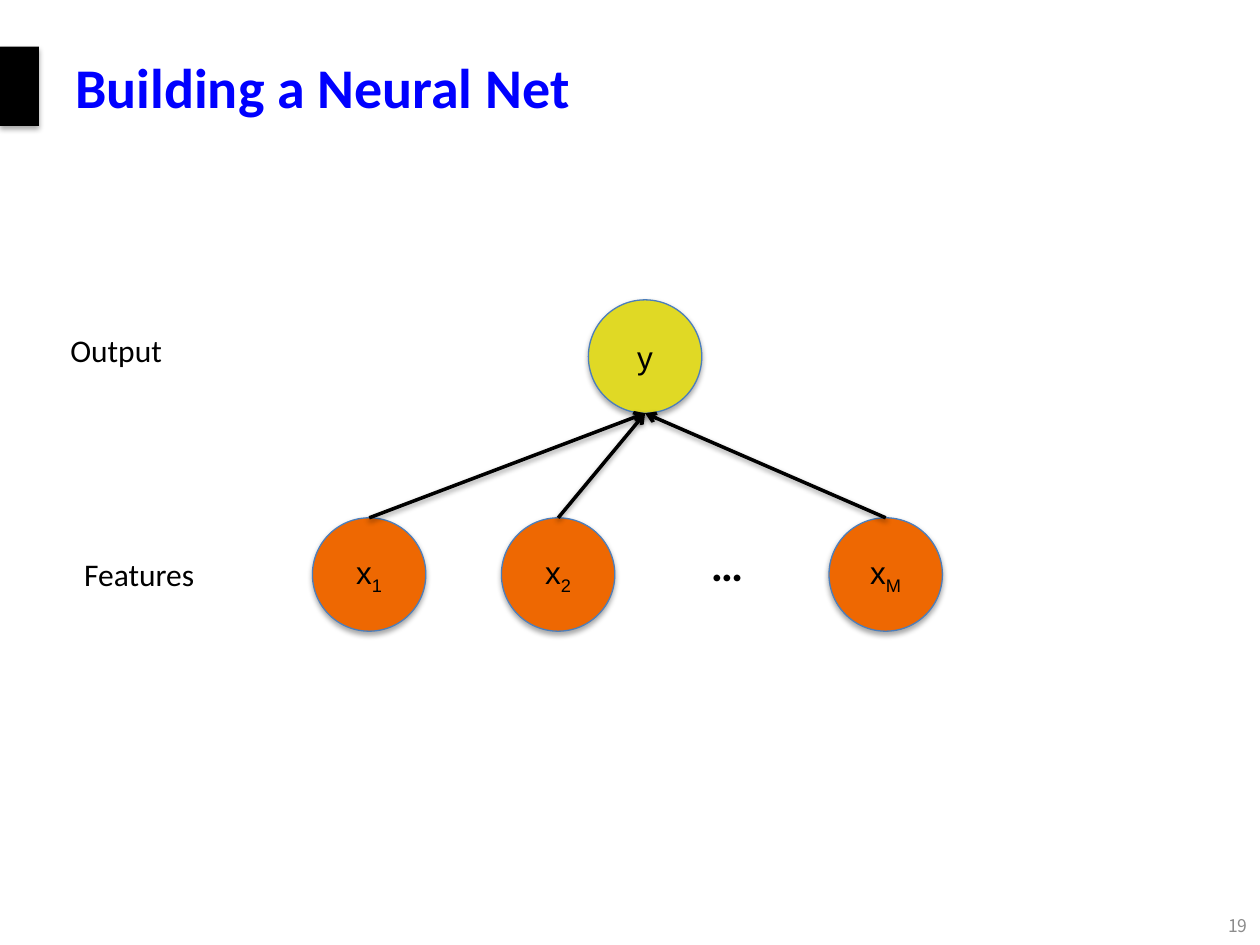
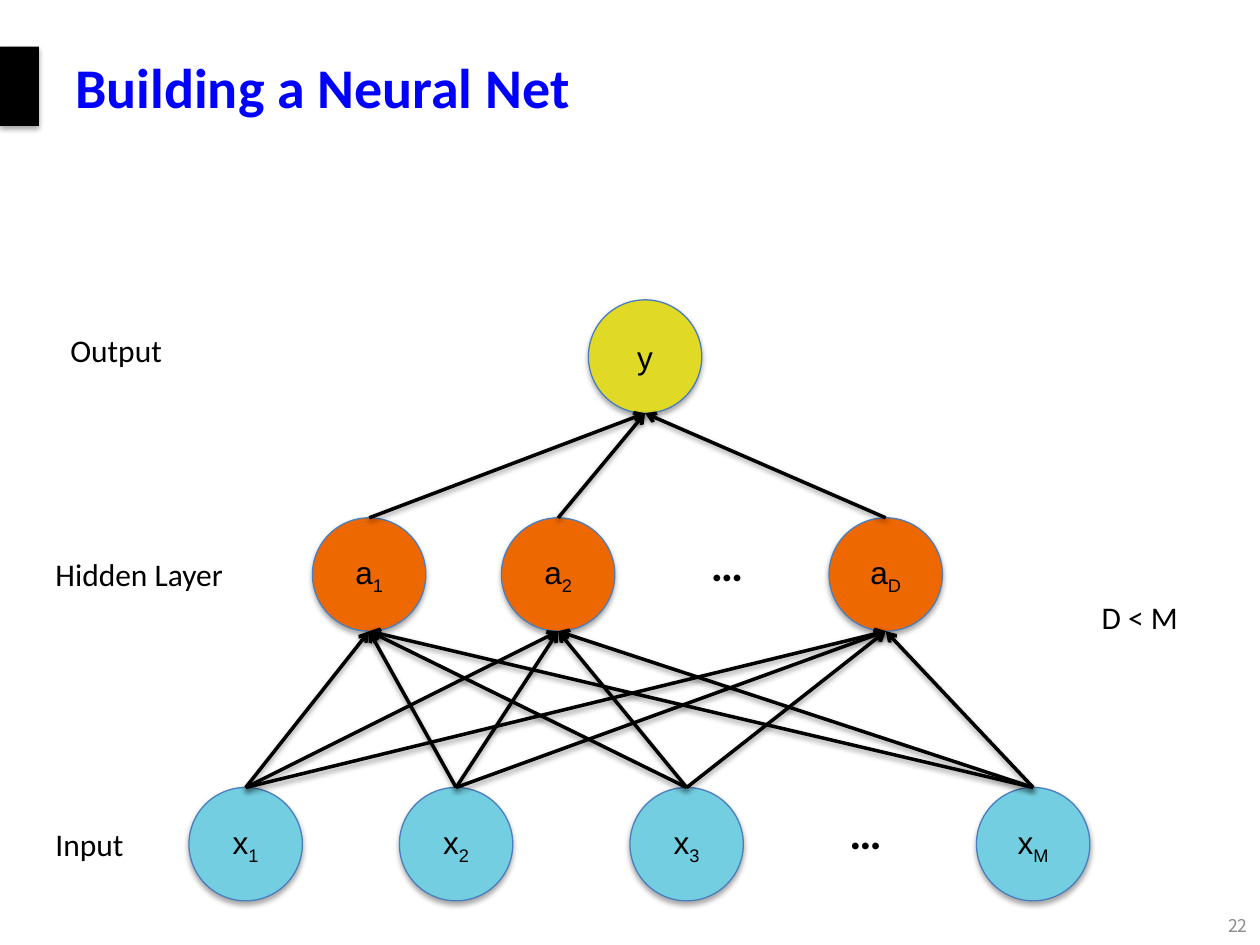
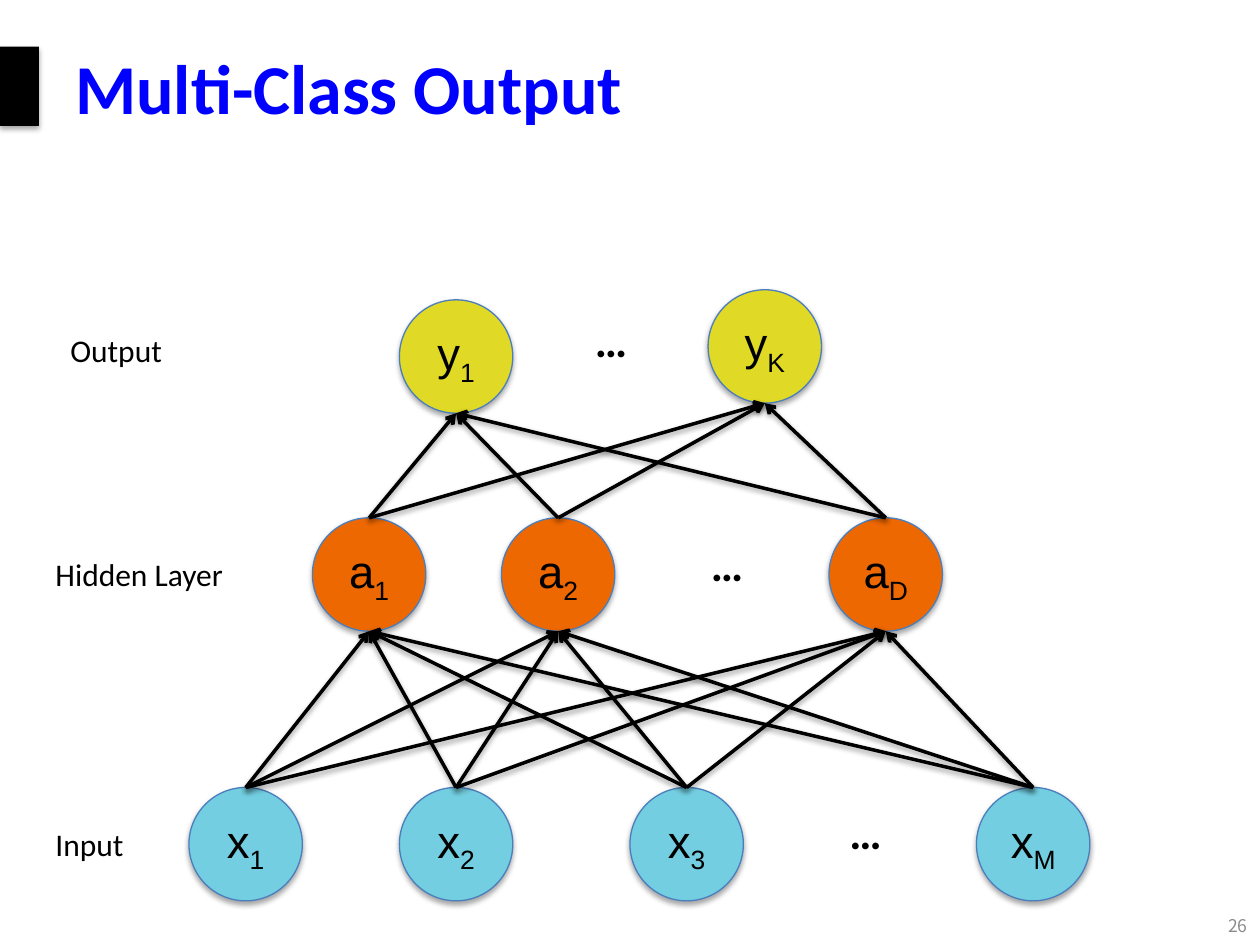
import itertools

import pptx
import pptx.dml.color
import pptx.enum.shapes
import pptx.enum.text
import pptx.oxml
import pptx.oxml.ns
import pptx.util

Inches = pptx.util.Inches
Pt = pptx.util.Pt
ALIGN = pptx.enum.text.PP_ALIGN
ANCHOR = pptx.enum.text.MSO_ANCHOR
SHAPE = pptx.enum.shapes.MSO_SHAPE

BLACK = "000000"
TITLE_BLUE = "0000FF"
RIM_BLUE = "4B7EBC"
YELLOW = "E0D925"
ORANGE = "EE6802"
CYAN = "72CEE0"
PAGE_GRAY = "8C8C8C"
NODE_SIZE = 0.9
SHADOW = (
    "<a:effectLst %s><a:outerShdw blurRad='40000' dist='%d' dir='5400000' rotWithShape='0'>"
    "<a:srgbClr val='000000'><a:alpha val='%d'/></a:srgbClr></a:outerShdw></a:effectLst>"
)
ARROWHEAD = "<a:headEnd %s type='arrow'/>"
NAMESPACE = pptx.oxml.ns.nsdecls("a")


def color(hex_code):
    return pptx.dml.color.RGBColor.from_string(hex_code)


def write(shape, text, subscript="", size=18, font="Calibri", ink=BLACK, bold=False,
          align=ALIGN.CENTER, anchor=ANCHOR.MIDDLE):
    frame = shape.text_frame
    frame.word_wrap = True
    frame.vertical_anchor = anchor
    paragraph = frame.paragraphs[0]
    paragraph.alignment = align
    for part in filter(None, (text, subscript)):
        run = paragraph.add_run()
        run.text = part
        run.font.size = Pt(size)
        run.font.name = font
        run.font.bold = bold
        run.font.color.rgb = color(ink)
    if subscript:
        run.font._element.set("baseline", "-25000")


output_label = ("Output", 0.46, 2.58, 1.42, ALIGN.LEFT)
features_label = ("Features", -0.02, 4.36, 2.25, ALIGN.CENTER)
hidden_label = ("Hidden Layer", -0.02, 4.36, 2.25, ALIGN.CENTER)
input_label = ("Input", 0, 6.5, 1.42, ALIGN.CENTER)
size_note = ("D < M", 7.92, 4.7, 2.25, ALIGN.CENTER)

single_output = ("y", YELLOW, [("", 4.67, 2.38)])
class_outputs = ("y", YELLOW, [("1", 3.17, 2.38), ("K", 5.62, 2.3)])
features = ("x", ORANGE, [("1", 2.48, 4.11), ("2", 3.98, 4.11), ("M", 6.58, 4.11)])
hidden = ("a", ORANGE, [("1", 2.48, 4.11), ("2", 3.98, 4.11), ("D", 6.58, 4.11)])
inputs = ("x", CYAN, [("1", 1.5, 6.25), ("2", 3.17, 6.25), ("3", 5, 6.25), ("M", 7.75, 6.25)])

output_gap, middle_gap, input_gap = (4.56, 2.42), (5.48, 4.2), (6.58, 6.33)

lessons = [
    ("Building a Neural Net", 32, "19", 18, [single_output, features],
     [middle_gap], [output_label, features_label]),
    ("Building a Neural Net", 32, "22", 18, [single_output, hidden, inputs],
     [middle_gap, input_gap], [output_label, input_label, hidden_label, size_note]),
    ("Multi-Class Output", 40, "26", 26, [class_outputs, hidden, inputs],
     [output_gap, middle_gap, input_gap], [output_label, input_label, hidden_label]),
]

deck = pptx.Presentation()
deck.slide_width = Inches(10)
deck.slide_height = Inches(7.5)

for heading, heading_size, page, node_text_size, layers, gaps, labels in lessons:
    slide = deck.slides.add_slide(deck.slide_layouts[6])
    shapes = slide.shapes

    band = shapes.add_shape(SHAPE.RECTANGLE, 0, Inches(0.37), Inches(0.31), Inches(0.63))
    band.fill.solid()
    band.fill.fore_color.rgb = color(BLACK)
    band.line.fill.background()

    title = shapes.add_textbox(Inches(0.5), Inches(0.06), Inches(9), Inches(1.25))
    write(title, heading, size=heading_size, ink=TITLE_BLUE, bold=True, align=ALIGN.LEFT)

    network = []
    for letter, fill, units in layers:
        layer_nodes = []
        for subscript, left, top in units:
            node = shapes.add_shape(SHAPE.FLOWCHART_CONNECTOR, Inches(left), Inches(top),
                                    Inches(NODE_SIZE), Inches(NODE_SIZE))
            node.fill.solid()
            node.fill.fore_color.rgb = color(fill)
            node.line.color.rgb = color(RIM_BLUE)
            node.line.width = Pt(0.75)
            write(node, letter, subscript, size=node_text_size, font="Arial")
            layer_nodes.append(node)
        network.append(layer_nodes)

    for left, top in gaps:
        ellipsis = shapes.add_textbox(Inches(left), Inches(top), Inches(0.58), Inches(0.54))
        write(ellipsis, "…", size=26, bold=True)

    for upper_layer, lower_layer in zip(network, network[1:]):
        for upper, lower in itertools.product(upper_layer, lower_layer):
            edge = shapes.add_connector(
                pptx.enum.shapes.MSO_CONNECTOR.STRAIGHT,
                upper.left + upper.width // 2, upper.top + upper.height,
                lower.left + lower.width // 2, lower.top)
            edge.end_connect(lower, 0)
            edge.line.color.rgb = color(BLACK)
            edge.line.width = Pt(2)
            edge.line._get_or_add_ln().append(pptx.oxml.parse_xml(ARROWHEAD % NAMESPACE))
            edge._element.spPr.append(pptx.oxml.parse_xml(SHADOW % (NAMESPACE, 20000, 38000)))

    for solid in [band, *itertools.chain.from_iterable(network)]:
        solid._element.spPr.append(pptx.oxml.parse_xml(SHADOW % (NAMESPACE, 23000, 35000)))

    for caption, left, top, width, align in labels:
        label = shapes.add_textbox(Inches(left), Inches(top), Inches(width), Inches(0.4))
        write(label, caption, align=align, anchor=ANCHOR.TOP)

    page_number = shapes.add_textbox(Inches(8.46), Inches(7.2), Inches(1.54), Inches(0.29))
    write(page_number, page, size=10, font="Noto Sans CJK SC", ink=PAGE_GRAY, align=ALIGN.RIGHT)

deck.save("out.pptx")
